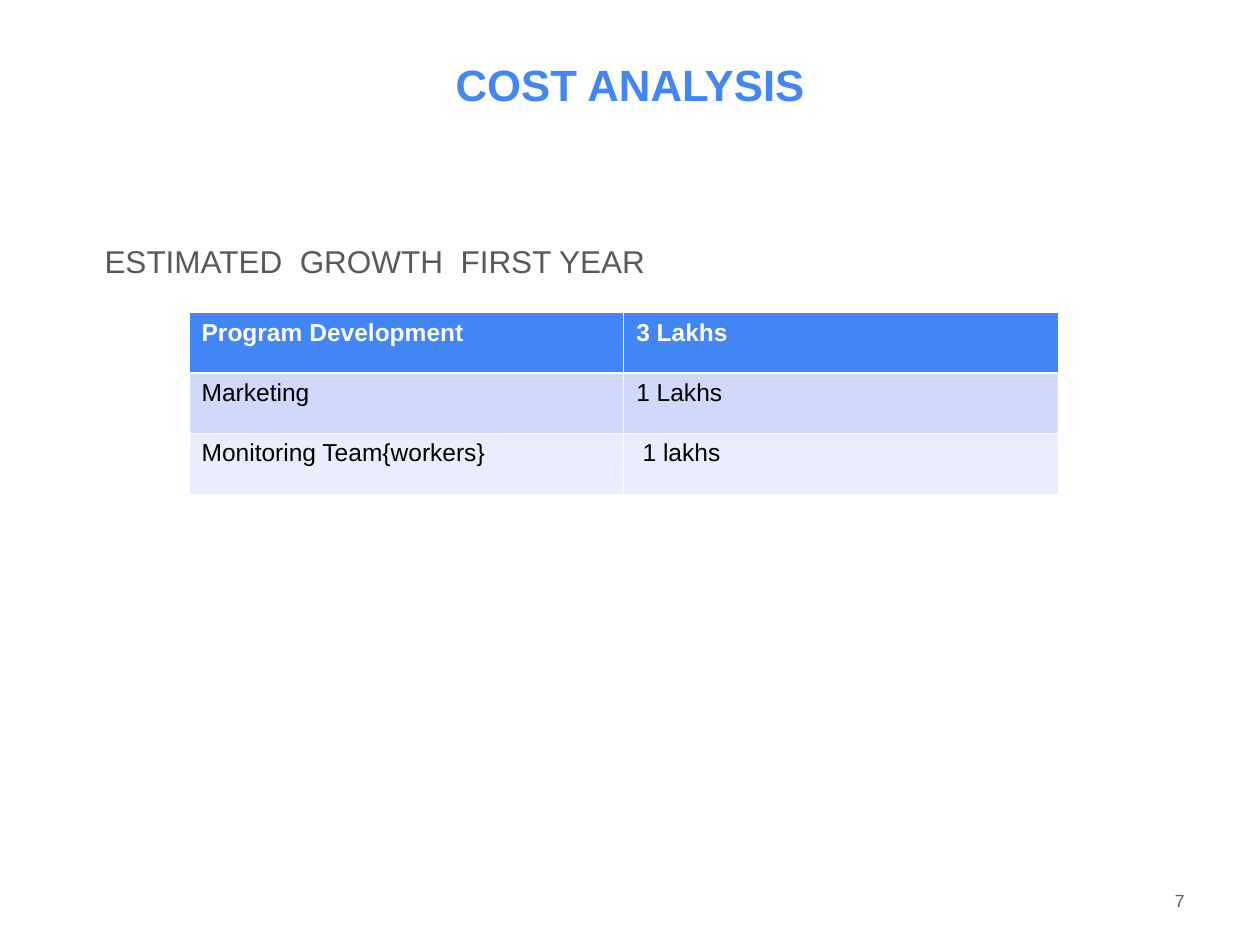
from dataclasses import dataclass

from lxml.etree import SubElement
from pptx import Presentation
from pptx.dml.color import RGBColor
from pptx.enum.text import MSO_ANCHOR, MSO_AUTO_SIZE, PP_ALIGN
from pptx.oxml.ns import qn
from pptx.util import Inches, Pt


@dataclass(frozen=True)
class Theme:
    font: str = "Arial"
    accent: str = "4285F4"
    body: str = "595959"
    cell: str = "000000"
    white: str = "FFFFFF"
    bands: tuple = ("CFD9FB", "E9EDFD")
    title_size: float = 25
    body_size: float = 18
    table_size: float = 14
    number_size: float = 10
    thin_rule: float = 0.45
    header_rule: float = 1.47


class SlideBuilder:
    def __init__(self, page, theme):
        self.page = page
        self.theme = theme

    def style(self, paragraph, size, color, bold=False):
        font = paragraph.font
        font.name = self.theme.font
        font.size = Pt(size)
        font.bold = bold
        font.color.rgb = RGBColor.from_string(color)

    def title(self, text, left, top, width, height):
        box = self.page.shapes.title
        box.left, box.top = Inches(left), Inches(top)
        box.width, box.height = Inches(width), Inches(height)
        frame = box.text_frame
        frame.text = text
        frame.auto_size = MSO_AUTO_SIZE.NONE
        frame.vertical_anchor = MSO_ANCHOR.TOP
        frame.margin_top = 0
        para = frame.paragraphs[0]
        para.alignment = PP_ALIGN.CENTER
        self.style(para, self.theme.title_size, self.theme.accent, bold=True)

    def text(self, text, left, top, width, height, size,
             align=PP_ALIGN.LEFT, anchor=MSO_ANCHOR.TOP,
             margin_left=0.1, margin_top=0.05, line_spacing=1.0):
        box = self.page.shapes.add_textbox(
            Inches(left), Inches(top), Inches(width), Inches(height))
        frame = box.text_frame
        frame.word_wrap = True
        frame.vertical_anchor = anchor
        frame.margin_left = Inches(margin_left)
        frame.margin_top = Inches(margin_top)
        para = frame.paragraphs[0]
        para.text = text
        para.alignment = align
        para.line_spacing = line_spacing
        self.style(para, size, self.theme.body)

    def border(self, cell, side, width):
        properties = cell._tc.get_or_add_tcPr()
        line = SubElement(properties, qn(f"a:ln{side}"), w=str(Pt(width)))
        fill = SubElement(line, qn("a:solidFill"))
        SubElement(fill, qn("a:srgbClr"), val=self.theme.white)

    def table(self, rows, left, top, width, row_height):
        theme = self.theme
        table = self.page.shapes.add_table(
            len(rows), len(rows[0]), Inches(left), Inches(top),
            Inches(width), Inches(row_height * len(rows))).table
        fills = (theme.accent, *theme.bands)
        for row_index, (values, fill) in enumerate(zip(rows, fills)):
            header = row_index == 0
            heavy_side = {0: "B", 1: "T"}.get(row_index)
            for column_index, value in enumerate(values):
                cell = table.cell(row_index, column_index)
                for side in "LRTB":
                    heavy = side == heavy_side
                    self.border(cell, side,
                                theme.header_rule if heavy else theme.thin_rule)
                cell.fill.solid()
                cell.fill.fore_color.rgb = RGBColor.from_string(fill)
                cell.text = value
                self.style(cell.text_frame.paragraphs[0], theme.table_size,
                           theme.white if header else theme.cell, bold=header)
        return table


def main():
    deck = Presentation()
    deck.slide_width, deck.slide_height = Inches(10), Inches(7.5)
    theme = Theme()
    builder = SlideBuilder(deck.slides.add_slide(deck.slide_layouts[5]), theme)

    builder.title("COST ANALYSIS", 0.5, 0.46, 9, 0.7)
    builder.text("ESTIMATED  GROWTH  FIRST YEAR", 0.5, 1.33, 9, 5.37,
                 theme.body_size, margin_left=0.33, margin_top=0.55,
                 line_spacing=1.15)
    costs = builder.table([
        ("Program Development", "3 Lakhs"),
        ("Marketing", "1 Lakhs"),
        ("Monitoring Team{workers}", "1 lakhs"),
    ], 1.5, 2.48, 6.9, 0.48)
    costs.cell(2, 1).margin_left = Inches(0.15)
    builder.text("7", 7.17, 6.95, 2.33, 0.4, theme.number_size,
                 align=PP_ALIGN.RIGHT, anchor=MSO_ANCHOR.MIDDLE)

    deck.save("out.pptx")


if __name__ == "__main__":
    main()
